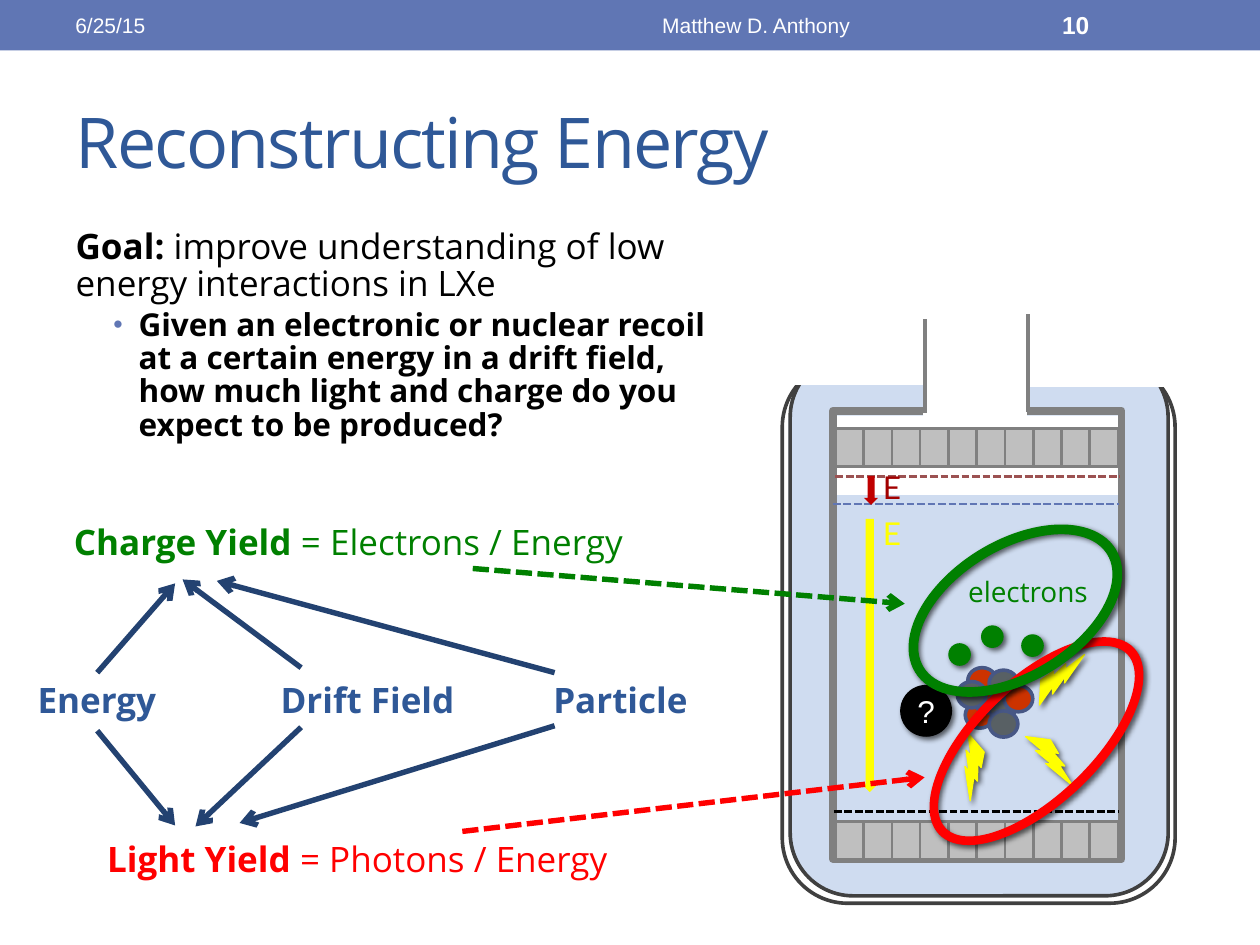
from lxml.etree import SubElement
from pptx import Presentation
from pptx.dml.color import RGBColor
from pptx.enum.dml import MSO_LINE_DASH_STYLE as Dash
from pptx.enum.shapes import MSO_CONNECTOR, MSO_SHAPE as Shape
from pptx.enum.text import MSO_ANCHOR as Anchor, MSO_AUTO_SIZE as AutoSize, PP_ALIGN as Align
from pptx.oxml.ns import qn
from pptx.util import Cm, Pt

COLORS = {
    "white": "FFFFFF", "black": "000000", "header": "6076B4", "title": "2F5897",
    "arrow": "234271", "green": "008000", "red": "FF0000", "yellow": "FFFF00",
    "xenon": "CFDCF0", "vessel": "404040", "steel": "808080", "sensor": "BFBFBF",
    "anode": "9C5252", "field": "C00000", "field text": "A20000",
    "proton": "CC3300", "neutron": "586064", "nucleon edge": "475785",
}


def rgb(name):
    return RGBColor.from_string(COLORS[name])


def add_effects(shape, shadow=False):
    """Replace the theme's effects with none, or with a soft drop shadow."""
    effects = SubElement(shape._element.spPr, qn("a:effectLst"))
    if shadow:
        outer = SubElement(effects, qn("a:outerShdw"), blurRad=str(Pt(3)), dist=str(Pt(2)),
                           dir="2700000", algn="tl", rotWithShape="0")
        color = SubElement(outer, qn("a:srgbClr"), val=COLORS["black"])
        SubElement(color, qn("a:alpha"), val="60000")


def add_figure(shapes, kind, frame, fill=None, line=None, width=2.08,
               rotation=0, shadow=False):
    figure = shapes.add_shape(kind, *map(Cm, frame))
    figure.rotation = rotation
    if fill:
        figure.fill.solid()
        figure.fill.fore_color.rgb = rgb(fill)
    else:
        figure.fill.background()
    if line:
        figure.line.color.rgb = rgb(line)
        figure.line.width = Pt(width)
    else:
        figure.line.fill.background()
    add_effects(figure, shadow)
    return figure


def add_line(shapes, start, end, color, width, dashed=False, arrow=False):
    line = shapes.add_connector(MSO_CONNECTOR.STRAIGHT, *map(Cm, start + end))
    line.line.color.rgb = rgb(color)
    line.line.width = Pt(width)
    if dashed:
        line.line.dash_style = Dash.SQUARE_DOT
    if arrow:
        SubElement(line.line._get_or_add_ln(), qn("a:tailEnd"), type="arrow")
    add_effects(line)


def set_font(para, size, color, name="Open Sans", bold=None):
    font = para.font
    font.size, font.name, font.bold = Pt(size), name, bold
    font.color.rgb = rgb(color)


def add_spans(para, *spans):
    """Add (text, bold) runs."""
    for text, bold in spans:
        span = para.add_run()
        span.text, span.font.bold = text, bold


def add_text(shapes, frame, spans, size, color, name="Open Sans",
             align=Align.LEFT, anchor=Anchor.TOP, wrap=True):
    box = shapes.add_textbox(*map(Cm, frame)).text_frame
    box.word_wrap, box.vertical_anchor = wrap, anchor
    para = box.paragraphs[0]
    para.alignment = align
    set_font(para, size, color, name)
    add_spans(para, *spans)


def place(holder, frame):
    holder.left, holder.top, holder.width, holder.height = map(Cm, frame)
    holder.text_frame.auto_size = AutoSize.NONE
    return holder.text_frame


def add_header(page):
    add_figure(page.shapes, Shape.RECTANGLE, (0, 0, 25.4, 1.02), "header")
    for left, width, text, size, bold, align in (
            (1.27, 8.05, "6/25/15", 12, False, Align.LEFT),
            (9.53, 11.43, "Matthew D. Anthony", 12, False, Align.CENTER),
            (21.16, 2.97, "10", 14, True, Align.LEFT)):
        add_text(page.shapes, (left, 0.05, width, 0.91), [(text, bold)], size, "white",
                 "Arial", align, Anchor.MIDDLE)


def fill_title(page):
    frame = place(page.shapes.title, (1.27, 1.47, 22.86, 2.74))
    frame.vertical_anchor = Anchor.MIDDLE
    para = frame.paragraphs[0]
    para.alignment = Align.LEFT
    set_font(para, 40, "title")
    add_spans(para, ("Reconstructing Energy", False))
    para.runs[0]._r.get_or_add_rPr().set("spc", "-100")


def fill_body(page):
    frame = place(page.placeholders[1], (1.27, 4.5, 13.82, 5.54))
    frame.vertical_anchor = Anchor.TOP
    goal, question = frame.paragraphs[0], frame.add_paragraph()
    question.level = 1
    for para, margin, indent in ((goal, 0, 0), (question, 1.27, -0.51)):
        para.line_spacing = 0.88
        para.space_before = Pt(0 if para is goal else 3.6)
        props = para._p.get_or_add_pPr()
        props.set("marL", str(Cm(margin)))
        props.set("indent", str(Cm(indent)))
    SubElement(goal._p.pPr, qn("a:buNone"))
    color = SubElement(question._p.pPr, qn("a:buClr"))
    SubElement(color, qn("a:srgbClr"), val=COLORS["header"])
    SubElement(question._p.pPr, qn("a:buSzPct"), val="85000")
    SubElement(question._p.pPr, qn("a:buFont"), typeface="Arial")
    SubElement(question._p.pPr, qn("a:buChar"), char="•")
    set_font(goal, 20, "black")
    set_font(question, 18, "black")
    add_spans(goal, ("Goal: ", True),
              ("improve understanding of low energy interactions in LXe", False))
    add_spans(question, ("Given an electronic or nuclear recoil at a certain energy in a drift "
                         "field, how much light and charge do you expect to be produced?", True))


def add_vessel(shapes):
    add_figure(shapes, Shape.ROUNDED_RECTANGLE, (15.93, 7.26, 7.62, 10.74), "xenon", "xenon")
    add_figure(shapes, Shape.RECTANGLE, (16.84, 8.38, 5.74, 1.6), "white")
    for wall in ((15.77, 7.29, 7.92, 10.92), (15.93, 7.14, 7.62, 10.92)):
        add_figure(shapes, Shape.ROUNDED_RECTANGLE, wall, line="vessel")
    add_figure(shapes, Shape.RECTANGLE, (16.79, 8.28, 5.82, 9.04), line="steel", width=4.5)
    for top in (8.64, 16.56):
        for column in range(10):
            add_figure(shapes, Shape.RECTANGLE, (16.84 + 0.57 * column, top, 0.58, 0.76),
                       "sensor", "steel", 1.5)
    for opening in ((18.64, 5.69, 2.03, 2.69), (20.6, 6.96, 3.02, 0.81), (16, 6.91, 2.67, 0.81)):
        add_figure(shapes, Shape.RECTANGLE, opening, "white", "white")
    for left, right, height, color in ((16.79, 22.56, 10.16, "header"),
                                       (16.84, 22.58, 9.6, "anode"),
                                       (16.81, 22.56, 16.36, "black")):
        add_line(shapes, (left, height), (right, height), color, 1.5, dashed=True)
    for x, bottom, top in ((18.64, 8.33, 6.43), (20.73, 8.31, 6.32)):
        add_line(shapes, (x, bottom), (x, top), "steel", 2.25)


def add_fields(shapes):
    for arrow, color, top, text_color in (
            ((17.37, 10.46, 0.33, 5.51), "yellow", 10.24, "yellow"),
            ((17.42, 9.6, 0.28, 0.58), "field", 9.32, "field text")):
        add_figure(shapes, Shape.DOWN_ARROW, arrow, color)
        add_text(shapes, (17.55, top, 0.53, 1.02), [("E", False)], 18, text_color,
                 "Lato", wrap=False)


def add_recoil(shapes):
    particle = add_figure(shapes, Shape.OVAL, (18.16, 13.82, 1.02, 1.02), "black", "black",
                          0.75, shadow=True)
    particle.text_frame.word_wrap = False
    para = particle.text_frame.paragraphs[0]
    para.alignment = Align.CENTER
    set_font(para, 18, "white", "Arial")
    add_spans(para, ("?", False))
    for x, y, kind in ((19.46, 14.15, "proton"), (19.63, 13.84, "proton"),
                       (19.51, 13.46, "proton"), (19.3, 13.74, "neutron"),
                       (19.91, 13.97, "neutron"), (19.94, 13.51, "neutron"),
                       (20.24, 13.82, "proton"), (19.94, 14.33, "neutron")):
        add_figure(shapes, Shape.OVAL, (x, y, 0.58, 0.53), kind, "nucleon edge")
    for x, y, angle in ((20.73, 13.34, 287.2), (20.55, 14.94, 21.6), (18.97, 15.09, 63.5)):
        add_figure(shapes, Shape.LIGHTNING_BOLT, (x, y, 1.24, 0.69), "yellow", "yellow",
                   0.75, angle, True)
    for x, y in ((19.13, 12.98), (19.79, 12.62), (20.6, 12.8)):
        add_figure(shapes, Shape.OVAL, (x, y, 0.43, 0.43), "green", "green", 0.75, shadow=True)
    add_text(shapes, (18.64, 11.46, 4.17, 0.94), [("electrons", False)], 16, "green",
             align=Align.CENTER)


def add_yields(shapes):
    for ring, angle, color in (((18.19, 13.67, 5.41, 2.54), 316.3, "red"),
                               ((18.11, 10.9, 4.72, 2.82), 328.4, "green")):
        donut = add_figure(shapes, Shape.DONUT, ring, color, color, 0.75, angle, True)
        donut.adjustments[0] = 0.062
    for start, end, color, frame, name, ratio in (
            ((9.53, 11.46), (18.24, 12.17), "green", (1.24, 10.36, 13.79, 1.45),
             "Charge Yield", " = Electrons / Energy"),
            ((9.32, 16.76), (18.64, 15.67), "red", (1.91, 16.76, 12.17, 1.45),
             "Light Yield", " = Photons / Energy")):
        add_line(shapes, start, end, color, 3.08, dashed=True, arrow=True)
        add_text(shapes, frame, [(name, True), (ratio, False)], 20, color)


def add_inputs(shapes):
    """Add the three quantities, each with an arrow to both yields."""
    for text, left, width, up, down in (
            ("Energy", 0.38, 3.15, ((1.96, 13.56), (3.53, 11.76)), ((1.96, 14.73), (3.53, 16.64))),
            ("Drift Field", 4.83, 5.16, ((6.07, 13.46), (3.68, 11.68)),
             ((6.07, 14.66), (3.94, 16.66))),
            ("Particle", 9.93, 5.16, ((11.18, 13.56), (4.37, 11.71)),
             ((11.18, 14.63), (4.83, 16.59)))):
        add_text(shapes, (left, 13.56, width, 1.45), [(text, True)], 20, "title",
                 align=Align.CENTER)
        for start, end in (up, down):
            add_line(shapes, start, end, "arrow", 3.08, arrow=True)


def main():
    deck = Presentation()
    deck.slide_width, deck.slide_height = Cm(25.4), Cm(19.05)
    page = deck.slides.add_slide(deck.slide_layouts[1])
    add_header(page)
    fill_title(page)
    fill_body(page)
    detector = page.shapes.add_group_shape().shapes
    add_vessel(detector)
    add_fields(detector)
    add_recoil(detector)
    add_yields(page.shapes)
    add_inputs(page.shapes)
    deck.save("out.pptx")


if __name__ == "__main__":
    main()
